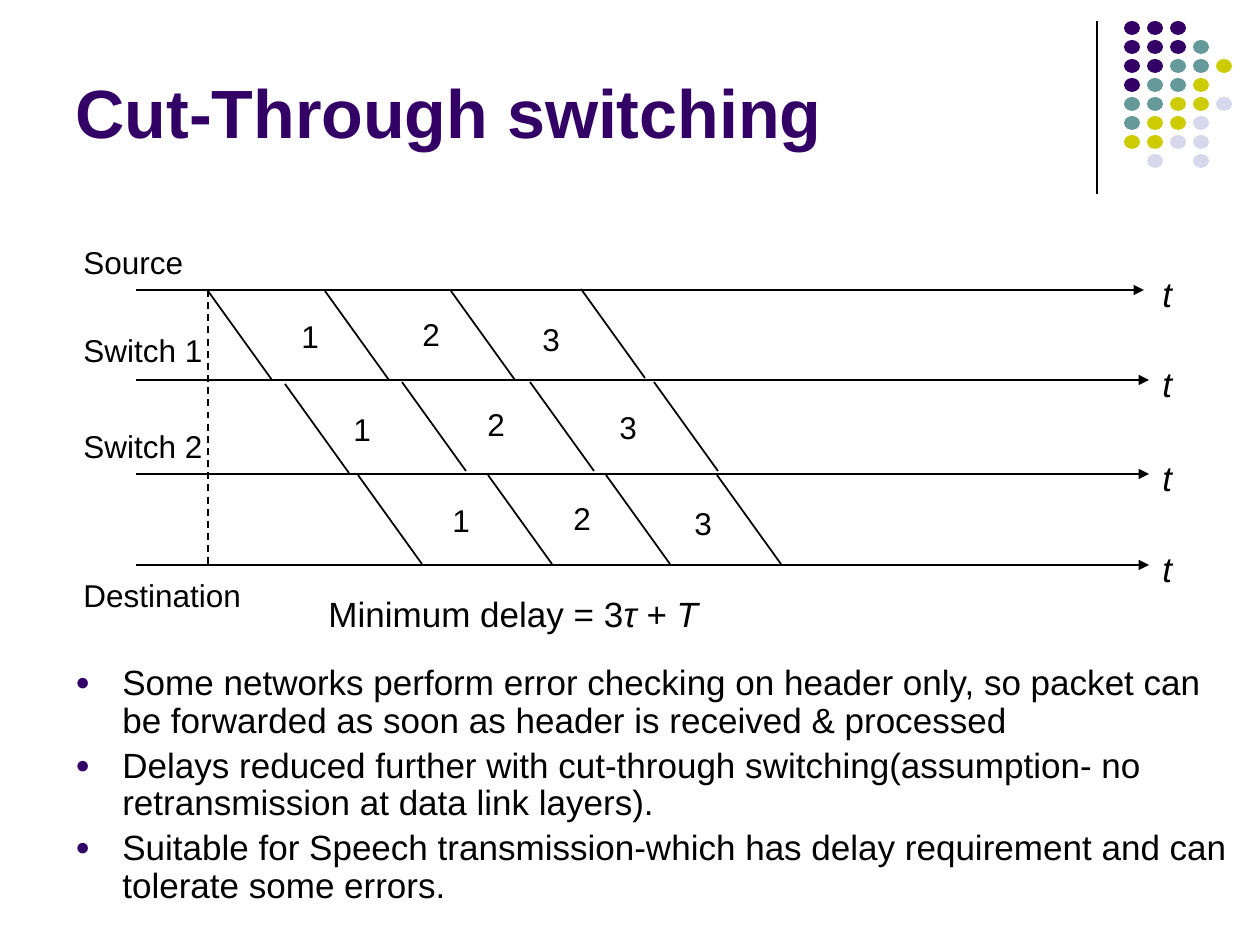
from dataclasses import dataclass

from lxml import etree
from pptx import Presentation
from pptx import util as u
from pptx.dml.color import RGBColor
from pptx.enum import dml, shapes, text
from pptx.oxml.ns import qn

EMU_PER_PX = 914400 / 126


@dataclass(frozen=True)
class Theme:
    font: str = "Arial"
    ink: str = "000000"
    accent: str = "330066"
    teal: str = "669999"
    olive: str = "CCCC00"
    pale: str = "D8D8EC"
    title: int = 39
    body: int = 20
    label: int = 18
    rule: float = 0.75
    stroke: float = 1


@dataclass(frozen=True)
class Box:
    left: int
    top: int
    width: int
    height: int


@dataclass(frozen=True)
class Lane:
    """Time axis of one node."""
    name: str
    name_box: Box
    y: int
    end: int


@dataclass(frozen=True)
class Hop:
    """Packets crossing one link: slanted edges and packet numbers, as (x, y)."""
    edges: tuple[tuple[int, int], ...]
    numbers: tuple[tuple[int, int], ...]


@dataclass(frozen=True)
class Run:
    words: str
    italic: bool = False


THEME = Theme()

DOT_COLOURS = {"A": THEME.accent, "T": THEME.teal, "O": THEME.olive, "P": THEME.pale}
DOT_ROWS = ("AAA", "AAAT", "AATTO", "ATTO", "TTOOP", "TOOP", "OOPP", " P P")

LANE_START, FIRST_SEND = 136, 208
SLANT_WIDTH, SLANT_HEIGHT = 64, 89
LANES = (
    Lane("Source", Box(71, 237, 125, 50), 290, 1144),
    Lane("Switch 1", Box(71, 325, 144, 50), 380, 1149),
    Lane("Switch 2", Box(71, 421, 144, 50), 474, 1149),
    Lane("Destination", Box(71, 570, 183, 50), 565, 1149),
)
HOPS = (
    Hop(((208, 291), (325, 291), (451, 291), (581, 289)),
        ((289, 311), (410, 309), (530, 314))),
    Hop(((285, 384), (402, 382), (530, 382), (654, 382)),
        ((341, 404), (475, 399), (607, 402))),
    Hop(((358, 475), (488, 475), (606, 475), (717, 475)),
        ((440, 495), (561, 493), (682, 498))),
)
POINTS = (
    "Some networks perform error checking on header only, so packet can "
    "be forwarded as soon as header is received & processed",
    "Delays reduced further with cut-through switching(assumption- no "
    "retransmission at data link layers).",
    "Suitable for Speech transmission-which has delay requirement and can "
    "tolerate some errors.",
)


def px(length: int) -> u.Emu:
    return u.Emu(round(length * EMU_PER_PX))


def place(box: Box) -> tuple[u.Emu, ...]:
    return px(box.left), px(box.top), px(box.width), px(box.height)


def add_bullet(para, indent: int) -> None:
    properties = para._p.get_or_add_pPr()
    properties.set("marL", str(px(indent)))
    properties.set("indent", str(-px(indent)))
    colour = etree.SubElement(properties, qn("a:buClr"))
    etree.SubElement(colour, qn("a:srgbClr"), val=THEME.accent)
    etree.SubElement(properties, qn("a:buSzPct"), val="70000")
    etree.SubElement(properties, qn("a:buFont"), typeface=THEME.font)
    etree.SubElement(properties, qn("a:buChar"), char="●")


def add_text(page, box: Box, *paragraphs: tuple[Run, ...], size: int = THEME.label,
             colour: str = THEME.ink, bold: bool = False, wrap: bool = False,
             anchor=text.MSO_ANCHOR.TOP, bullets: bool = False) -> None:
    frame = page.shapes.add_textbox(*place(box)).text_frame
    frame.word_wrap = wrap
    frame.auto_size = (text.MSO_AUTO_SIZE.NONE if wrap
                       else text.MSO_AUTO_SIZE.SHAPE_TO_FIT_TEXT)
    frame.vertical_anchor = anchor
    for index, runs in enumerate(paragraphs):
        para = frame.add_paragraph() if index else frame.paragraphs[0]
        if bullets:
            para.line_spacing = 0.9
            para.space_before = u.Pt(size * 0.2)
            add_bullet(para, indent=47)
        for run in runs:
            span = para.add_run()
            span.text = run.words
            span.font.name = THEME.font
            span.font.size = u.Pt(size)
            span.font.bold = bold
            span.font.italic = run.italic
            span.font.color.rgb = RGBColor.from_string(colour)


def add_line(page, start: tuple[int, int], end: tuple[int, int],
             width: float = THEME.stroke, arrow: bool = False,
             dashed: bool = False) -> None:
    line = page.shapes.add_connector(
        shapes.MSO_CONNECTOR.STRAIGHT, *map(px, start), *map(px, end))
    line.line.color.rgb = RGBColor.from_string(THEME.ink)
    line.line.width = u.Pt(width)
    if dashed:
        line.line.dash_style = dml.MSO_LINE.DASH
    properties = line._element.spPr
    if arrow:
        etree.SubElement(properties.find(qn("a:ln")), qn("a:tailEnd"), type="triangle")
    etree.SubElement(properties, qn("a:effectLst"))


def add_dots(page) -> None:
    for row, codes in enumerate(DOT_ROWS):
        for column, code in enumerate(codes):
            if code == " ":
                continue
            box = Box(1124 + 23 * column, 21 + 19 * row, 16, 14)
            dot = page.shapes.add_shape(shapes.MSO_SHAPE.OVAL, *place(box))
            dot.shadow.inherit = False
            dot.fill.solid()
            dot.fill.fore_color.rgb = RGBColor.from_string(DOT_COLOURS[code])
            dot.line.fill.background()


def add_lane(page, lane: Lane) -> None:
    add_line(page, (LANE_START, lane.y), (lane.end, lane.y), arrow=True)
    add_text(page, lane.name_box, (Run(lane.name),))
    add_text(page, Box(1150, lane.y - 24, 34, 54), (Run("t", italic=True),),
             size=THEME.body)


def add_hop(page, hop: Hop) -> None:
    for x, y in hop.edges:
        add_line(page, (x, y), (x + SLANT_WIDTH, y + SLANT_HEIGHT))
    for number, (x, y) in enumerate(hop.numbers, start=1):
        add_text(page, Box(x, y, 43, 50), (Run(str(number)),))


def main() -> None:
    deck = Presentation()
    deck.slide_width, deck.slide_height = px(1260), px(945)
    page = deck.slides.add_slide(deck.slide_layouts[6])

    add_line(page, (1097, 21), (1097, 194), width=THEME.rule)
    add_dots(page)
    add_text(page, Box(63, 16, 1040, 142), (Run("Cut-Through switching"),),
             size=THEME.title, colour=THEME.accent, bold=True, wrap=True,
             anchor=text.MSO_ANCHOR.BOTTOM)

    for lane in LANES:
        add_lane(page, lane)
    for hop in HOPS:
        add_hop(page, hop)
    add_line(page, (FIRST_SEND, LANES[0].y), (FIRST_SEND, LANES[-1].y), dashed=True)

    add_text(page, Box(316, 586, 406, 54),
             (Run("Minimum delay = 3"), Run("τ ", italic=True), Run("+ "),
              Run("T", italic=True)), size=THEME.body)
    add_text(page, Box(63, 659, 1197, 286), *((Run(point),) for point in POINTS),
             size=THEME.body, wrap=True, bullets=True)
    deck.save("out.pptx")


if __name__ == "__main__":
    main()
